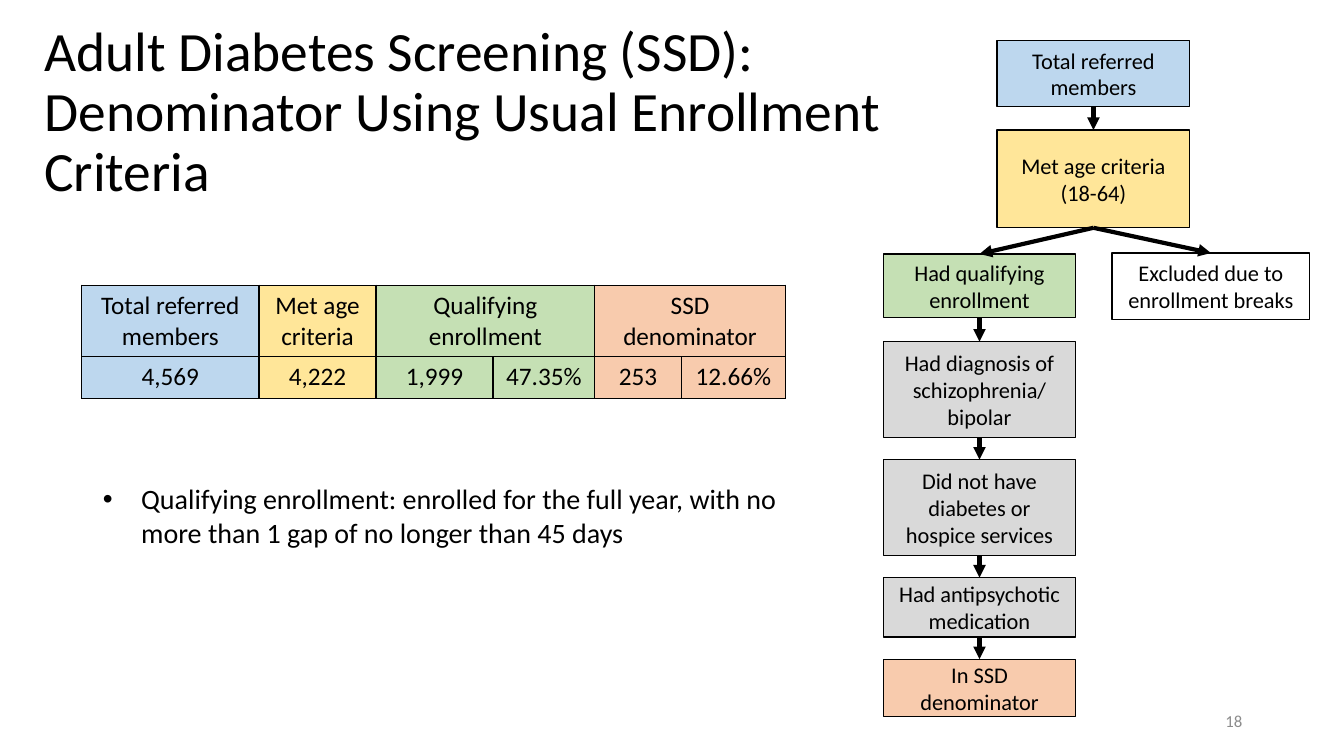
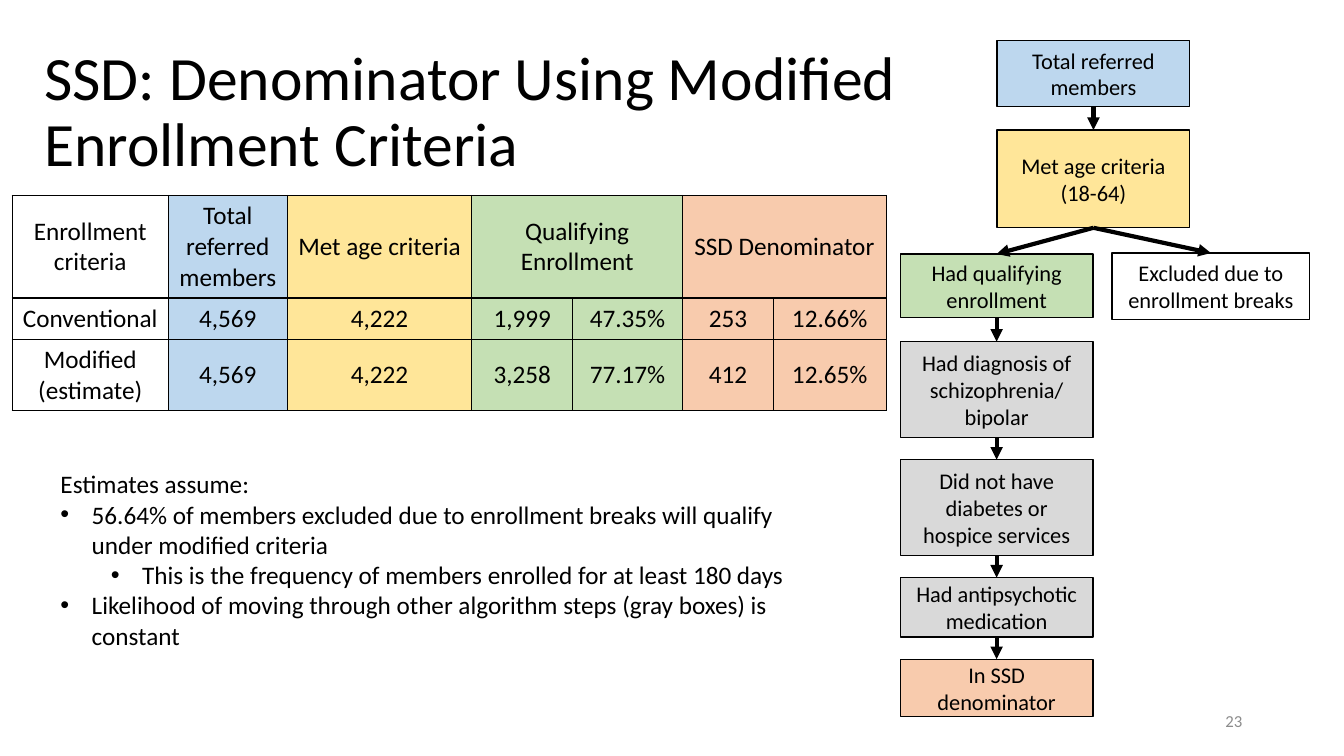
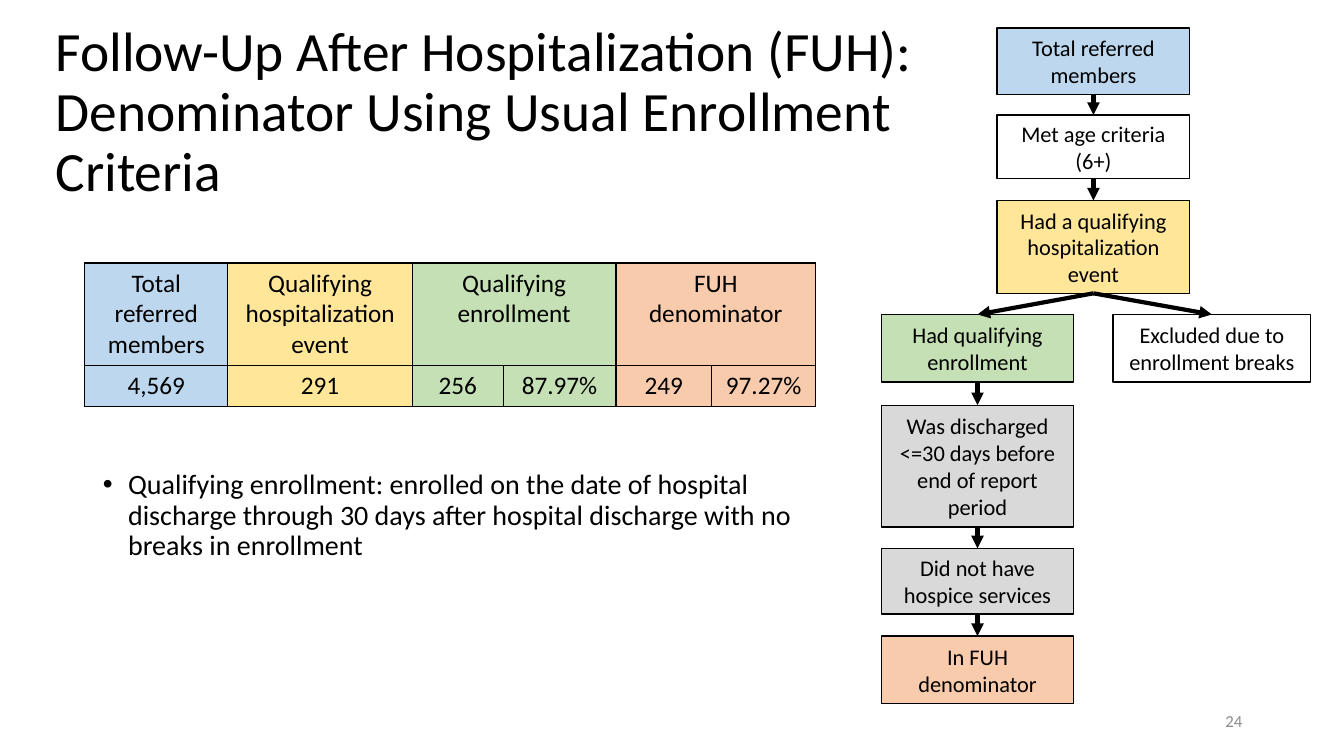
from lxml import etree
from pptx import Presentation
from pptx.dml.color import RGBColor
from pptx.enum.shapes import MSO_CONNECTOR, MSO_SHAPE
from pptx.enum.text import MSO_ANCHOR, MSO_AUTO_SIZE, PP_ALIGN
from pptx.oxml import parse_xml
from pptx.oxml.ns import nsdecls, qn
from pptx.util import Inches, Pt

BLACK = RGBColor(0x00, 0x00, 0x00)
WHITE = RGBColor(0xFF, 0xFF, 0xFF)
BLUE = RGBColor(0xBD, 0xD7, 0xEE)
YELLOW = RGBColor(0xFF, 0xE6, 0x99)
GREEN = RGBColor(0xC5, 0xE0, 0xB4)
ORANGE = RGBColor(0xF8, 0xCB, 0xAD)
GRAY = RGBColor(0xD9, 0xD9, 0xD9)
NUMBER_GRAY = RGBColor(0x8C, 0x8C, 0x8C)
FONT = "Calibri"
TRUNK_LEFT = 9.89
BOX_WIDTH = 1.91
EXCLUDED_WIDTH = 1.96
COLUMN_FILLS = [BLUE, YELLOW, GREEN, GREEN, ORANGE, ORANGE]

SSD_TRUNK = [
    ("Total referred members", 0.4, 0.66, BLUE),
    ("Met age criteria (18-64)", 1.29, 0.97, YELLOW),
]
SSD_BRANCH = [
    ("Had qualifying enrollment", 2.52, 0.63, GREEN),
    ("Had diagnosis of schizophrenia/ bipolar", 3.39, 0.95, GRAY),
    ("Did not have diabetes or hospice services", 4.56, 0.95, GRAY),
    ("Had antipsychotic medication", 5.73, 0.59, GRAY),
    ("In SSD denominator", 6.54, 0.57, ORANGE),
]
FUH_TRUNK = [
    ("Total referred members", 0.28, 0.66, BLUE),
    ("Met age criteria (6+)", 1.14, 0.63, WHITE),
    ("Had a qualifying hospitalization event", 1.99, 0.92, YELLOW),
]
FUH_BRANCH = [
    ("Had qualifying enrollment", 3.12, 0.67, GREEN),
    ("Was discharged <=30 days before end of report period", 4.02, 1.21, GRAY),
    ("Did not have hospice services", 5.44, 0.65, GRAY),
    ("In FUH denominator", 6.31, 0.67, ORANGE),
]

SLIDES = [
    dict(
        title="Adult Diabetes Screening (SSD): Denominator Using Usual Enrollment Criteria",
        title_left=0.34, title_size=39.6, number="18",
        trunk=SSD_TRUNK, branch=SSD_BRANCH, branch_left=8.76, excluded=(11.03, 2.51, 0.66),
        table_at=(0.81, 2.83), cols=[1.76, 1.16, 1.16, 1.01, 0.86, 1.03], heights=[0.7, 0.41],
        fills=COLUMN_FILLS, anchor=MSO_ANCHOR.TOP,
        rows=[
            ["Total referred members", "Met age criteria", "Qualifying enrollment", "",
             "SSD denominator", ""],
            ["4,569", "4,222", "1,999", "47.35%", "253", "12.66%"],
        ],
        list_at=(0.92, 4.73, 7.22, 0.77), list_size=20, line_spacing=1, space_before=0,
        items=[("Qualifying enrollment: enrolled for the full year, with no more than 1 gap "
                "of no longer than 45 days", 0, 0.38, 0.38)],
    ),
    dict(
        title="SSD: Denominator Using Modified Enrollment Criteria",
        title_left=0.34, title_size=44, number="23",
        trunk=SSD_TRUNK, branch=SSD_BRANCH, branch_left=8.93, excluded=(11.03, 2.51, 0.66),
        table_at=(0.12, 1.94), cols=[1.55, 1.18, 1.83, 1, 1.09, 0.9, 1.12],
        heights=[1.01, 0.41, 0.7], fills=[WHITE] + COLUMN_FILLS, anchor=MSO_ANCHOR.MIDDLE,
        rows=[
            ["Enrollment criteria", "Total referred members", "Met age criteria",
             "Qualifying Enrollment", "", "SSD Denominator", ""],
            ["Conventional", "4,569", "4,222", "1,999", "47.35%", "253", "12.66%"],
            ["Modified (estimate)", "4,569", "4,222", "3,258", "77.17%", "412", "12.65%"],
        ],
        list_at=(0.5, 4.6, 7.69, 1.92), list_size=18, line_spacing=1, space_before=0,
        items=[
            ("Estimates assume:", 0, 0, 0),
            ("56.64% of members excluded due to enrollment breaks will qualify under "
             "modified criteria", 0, 0.31, 0.31),
            ("This is the frequency of members enrolled for at least 180 days", 1, 0.81, 0.31),
            ("Likelihood of moving through other algorithm steps (gray boxes) is constant",
             0, 0.31, 0.31),
        ],
    ),
    dict(
        title="Follow-Up After Hospitalization (FUH): Denominator Using Usual Enrollment Criteria",
        title_left=0.45, title_size=39.6, number="24",
        trunk=FUH_TRUNK, branch=FUH_BRANCH, branch_left=8.74, excluded=(11.04, 3.12, 0.67),
        table_at=(0.84, 2.61), cols=[1.42, 1.83, 0.9, 1.12, 0.95, 1.03], heights=[1.01, 0.41],
        fills=COLUMN_FILLS, anchor=MSO_ANCHOR.TOP,
        rows=[
            ["Total referred members", "Qualifying hospitalization event",
             "Qualifying enrollment", "", "FUH denominator", ""],
            ["4,569", "291", "256", "87.97%", "249", "97.27%"],
        ],
        list_at=(0.92, 4.62, 7.71, 1.83), list_size=20, line_spacing=0.9, space_before=10,
        items=[("Qualifying enrollment: enrolled on the date of hospital discharge through "
                "30 days after hospital discharge with no breaks in enrollment", 0, 0.25, 0.25)],
    ),
]


def add_text(p, text, size, align=PP_ALIGN.LEFT, color=BLACK):
    p.alignment = align
    r = p.add_run()
    r.text = text
    r.font.name = FONT
    r.font.size = Pt(size)
    r.font.color.rgb = color


def place(sp, left, top, width, height, anchor):
    sp.left, sp.top, sp.width, sp.height = map(Inches, (left, top, width, height))
    tf = sp.text_frame
    tf.word_wrap = True
    tf.auto_size = MSO_AUTO_SIZE.NONE
    tf.vertical_anchor = anchor
    return tf


prs = Presentation()
prs.slide_width = Inches(13.33)
prs.slide_height = Inches(7.5)

for d in SLIDES:
    s = prs.slides.add_slide(prs.slide_layouts[1])

    tf = place(s.shapes.title, d["title_left"], 0.4, 9.34, 1.45, MSO_ANCHOR.MIDDLE)
    p = tf.paragraphs[0]
    p.line_spacing = 0.9
    add_text(p, d["title"], d["title_size"])

    tf = place(s.placeholders[1], *d["list_at"], MSO_ANCHOR.TOP)
    for i, (text, level, left, hang) in enumerate(d["items"]):
        p = tf.add_paragraph() if i else tf.paragraphs[0]
        p.level = level
        p.line_spacing = d["line_spacing"]
        p.space_before = Pt(d["space_before"])
        add_text(p, text, d["list_size"])
        pPr = p._p.get_or_add_pPr()
        pPr.set("marL", str(Inches(left)))
        pPr.set("indent", str(-Inches(hang)))
        if hang:
            etree.SubElement(pPr, qn("a:buFont")).set("typeface", "Arial")
            etree.SubElement(pPr, qn("a:buChar")).set("char", "•")
        else:
            etree.SubElement(pPr, qn("a:buNone"))

    steps = [(text, TRUNK_LEFT, top, BOX_WIDTH, h, fill) for text, top, h, fill in d["trunk"]]
    steps += [(text, d["branch_left"], top, BOX_WIDTH, h, fill)
              for text, top, h, fill in d["branch"]]
    left, top, height = d["excluded"]
    steps.append(("Excluded due to enrollment breaks", left, top, EXCLUDED_WIDTH, height, WHITE))
    boxes = []
    for text, left, top, width, height, fill in steps:
        sp = s.shapes.add_shape(MSO_SHAPE.RECTANGLE, 0, 0, 0, 0)
        sp.shadow.inherit = False
        sp.fill.solid()
        sp.fill.fore_color.rgb = fill
        sp.line.color.rgb = BLACK
        sp.line.width = Pt(1)
        tf = place(sp, left, top, width, height, MSO_ANCHOR.MIDDLE)
        add_text(tf.paragraphs[0], text, 16, PP_ALIGN.CENTER)
        boxes.append(sp)

    *chain, excluded = boxes
    split = chain[len(d["trunk"]) - 1]
    for start, end in [*zip(chain, chain[1:]), (split, excluded)]:
        cn = s.shapes.add_connector(MSO_CONNECTOR.STRAIGHT, 0, 0, 0, 0)
        cn.begin_connect(start, 2)
        cn.end_connect(end, 0)
        cn.line.color.rgb = BLACK
        cn.line.width = Pt(3)
        etree.SubElement(cn.line._get_or_add_ln(), qn("a:tailEnd")).set("type", "triangle")
        etree.SubElement(cn._element.spPr, qn("a:effectLst"))

    left, top = d["table_at"]
    rows, cols, heights = d["rows"], d["cols"], d["heights"]
    tbl = s.shapes.add_table(len(rows), len(cols), Inches(left), Inches(top),
                             Inches(sum(cols)), Inches(sum(heights))).table
    tbl.first_row = False
    tbl.horz_banding = False
    for col, width in zip(tbl.columns, cols):
        col.width = Inches(width)
    for row, height in zip(tbl.rows, heights):
        row.height = Inches(height)
    for i, row in enumerate(rows):
        for j, text in enumerate(row):
            cell = tbl.cell(i, j)
            cell.fill.solid()
            cell.fill.fore_color.rgb = d["fills"][j]
            cell.vertical_anchor = d["anchor"]
            tcPr = cell._tc.get_or_add_tcPr()
            for k, side in enumerate(("lnL", "lnR", "lnT", "lnB")):
                tcPr.insert(k, parse_xml(
                    f'<a:{side} {nsdecls("a")} w="{Pt(1)}"><a:solidFill>'
                    f'<a:srgbClr val="{BLACK}"/></a:solidFill></a:{side}>'))
            if text:
                add_text(cell.text_frame.paragraphs[0], text, 18, PP_ALIGN.CENTER)
            else:
                tbl.cell(i, j - 1).merge(cell)

    sp = s.shapes.add_textbox(0, 0, 0, 0)
    tf = place(sp, 9.42, 6.95, 3, 0.4, MSO_ANCHOR.MIDDLE)
    add_text(tf.paragraphs[0], d["number"], 12, PP_ALIGN.RIGHT, NUMBER_GRAY)

prs.save("out.pptx")
